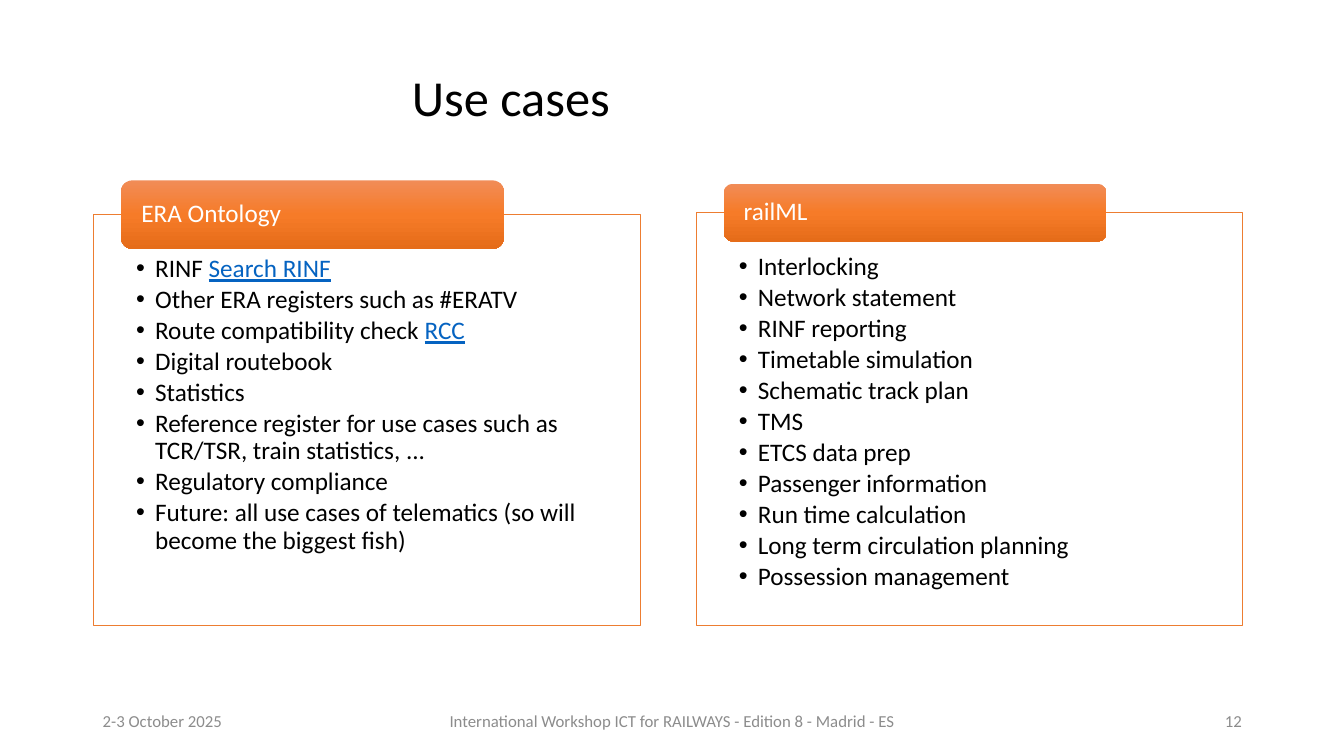
from copy import deepcopy

from lxml import etree
from pptx import Presentation
from pptx.dml.color import RGBColor
from pptx.enum.shapes import MSO_SHAPE
from pptx.enum.text import MSO_ANCHOR, MSO_AUTO_SIZE, PP_ALIGN
from pptx.oxml.ns import qn
from pptx.util import Cm, Pt

RECT, ROUND = MSO_SHAPE.RECTANGLE, MSO_SHAPE.ROUNDED_RECTANGLE
LEFT, CENTER, RIGHT = PP_ALIGN.LEFT, PP_ALIGN.CENTER, PP_ALIGN.RIGHT
TOP, MIDDLE = MSO_ANCHOR.TOP, MSO_ANCHOR.MIDDLE
NO_FIT = MSO_AUTO_SIZE.NONE

COLORS = {"text": "000000", "white": "FFFFFF", "footer": "8C8C8C", "accent": "ED7D31",
          "link": "0563C1", "light": "F18C57", "mid": "F67B28", "dark": "E56C19"}

FOOTERS = [
    ("2-3 October 2025", 2.34, 7.62, LEFT),
    ("International Workshop ICT for RAILWAYS - Edition 8 - Madrid - ES", 10.74, 12.4, CENTER),
    ("12", 23.93, 7.62, RIGHT),
]

ERA_CASES = [
    ("RINF ", "Search RINF"),
    ("Other ERA registers such as #ERATV",),
    ("Route compatibility check ", "RCC"),
    ("Digital routebook",),
    ("Statistics",),
    ("Reference register for use cases such as TCR/TSR, train statistics, ...",),
    ("Regulatory compliance",),
    ("Future: all use cases of telematics (so will become the biggest fish)",),
]

RAILML_CASES = [
    ("Interlocking",), ("Network statement",), ("RINF reporting",),
    ("Timetable simulation",), ("Schematic track plan",), ("TMS",),
    ("ETCS data prep",), ("Passenger information",), ("Run time calculation",),
    ("Long term circulation planning",), ("Possession management",),
]

PANELS = [
    ("ERA Ontology", ERA_CASES, 2.36, 5.41, 1.73),
    ("railML", RAILML_CASES, 17.55, 5.36, 1.47),
]
PANEL_WIDTH, PANEL_BOTTOM = 13.77, 15.75
HEADER_INDENT, HEADER_WIDTH = 0.69, 9.65


class Deck:
    """Holds the text style and the current slide, and adds each kind of element."""

    def __init__(self, prs, font="Calibri"):
        self.font = font
        self.slide = prs.slides.add_slide(prs.slide_layouts[5])

    def style(self, r, size, color):
        r.font.name = self.font
        r.font.size = Pt(size)
        r.font.color.rgb = RGBColor.from_string(COLORS[color])

    def frame(self, sp, anchor, margins=(0.25, 0.13, 0.25, 0.13)):
        tf = sp.text_frame
        tf.word_wrap = True
        tf.auto_size = NO_FIT
        tf.vertical_anchor = anchor
        tf.margin_left, tf.margin_top, tf.margin_right, tf.margin_bottom = map(Cm, margins)
        return tf

    def label(self, tf, text, size, color, align=LEFT, spacing=1.0):
        tf.text = text
        p = tf.paragraphs[0]
        p.alignment = align
        p.line_spacing = spacing
        self.style(p.runs[0], size, color)

    def title(self, text, x, y, w, h):
        sp = self.slide.shapes.title
        sp.left, sp.top, sp.width, sp.height = map(Cm, (x, y, w, h))
        self.label(self.frame(sp, MIDDLE), text, 36, "text", spacing=0.9)

    def footer(self, text, x, w, align):
        sp = self.slide.shapes.add_textbox(Cm(x), Cm(17.65), Cm(w), Cm(1.02))
        self.label(self.frame(sp, MIDDLE), text, 12, "footer", align)

    def shape(self, kind, x, y, w, h):
        sp = self.slide.shapes.add_shape(kind, Cm(x), Cm(y), Cm(w), Cm(h))
        sp.shadow.inherit = False
        return sp

    def bullet(self, p, parts):
        p.level = 1
        pPr = p._p.get_or_add_pPr()
        pPr.set("marL", str(Cm(0.48)))
        pPr.set("indent", str(-Cm(0.48)))
        etree.SubElement(pPr, qn("a:buFont"), typeface="Arial")
        etree.SubElement(pPr, qn("a:buChar"), char="•")
        p.alignment = LEFT
        p.line_spacing = 0.9
        p.space_after = Pt(2.7)
        for i, part in enumerate(parts):
            r = p.add_run()
            r.text = part
            is_link = i == 1
            self.style(r, 18, "link" if is_link else "text")
            r.font.underline = is_link

    def panel(self, cases, x, y, w, h):
        sp = self.shape(RECT, x, y, w, h)
        sp.fill.solid()
        sp.fill.fore_color.rgb = RGBColor.from_string(COLORS["white"])
        color = sp._element.spPr.find(qn("a:solidFill"))[0]
        etree.SubElement(color, qn("a:alpha"), val="90000")
        sp.line.color.rgb = RGBColor.from_string(COLORS["accent"])
        sp.line.width = Pt(0.5)
        tf = self.frame(sp, TOP, (1.07, 1.04, 1.07, 0.36))
        for i, parts in enumerate(cases):
            self.bullet(tf.add_paragraph() if i else tf.paragraphs[0], parts)

    def header(self, text, x, y, w, h):
        sp = self.shape(ROUND, x, y, w, h)
        sp.line.fill.background()
        sp.fill.gradient()
        sp.fill.gradient_angle = 270
        gs_lst = sp._element.spPr.find(qn("a:gradFill")).find(qn("a:gsLst"))
        gs_lst.append(deepcopy(gs_lst[0]))
        for i, (stop, color) in enumerate(zip(sp.fill.gradient_stops, ("light", "mid", "dark"))):
            stop.position = i / 2
            stop.color.rgb = RGBColor.from_string(COLORS[color])
        tf = self.frame(sp, MIDDLE, (0.43, 0, 0.43, 0))
        self.label(tf, text, 18, "white", spacing=0.9)


def main():
    prs = Presentation()
    prs.slide_width, prs.slide_height = Cm(33.87), Cm(19.05)
    deck = Deck(prs)
    deck.title("Use cases", 10.13, 1.02, 21.41, 3.02)
    for footer in FOOTERS:
        deck.footer(*footer)
    for name, cases, x, y, header_height in PANELS:
        deck.panel(cases, x, y, PANEL_WIDTH, PANEL_BOTTOM - y)
        deck.header(name, x + HEADER_INDENT, y - header_height / 2, HEADER_WIDTH, header_height)
    prs.save("out.pptx")


if __name__ == "__main__":
    main()
